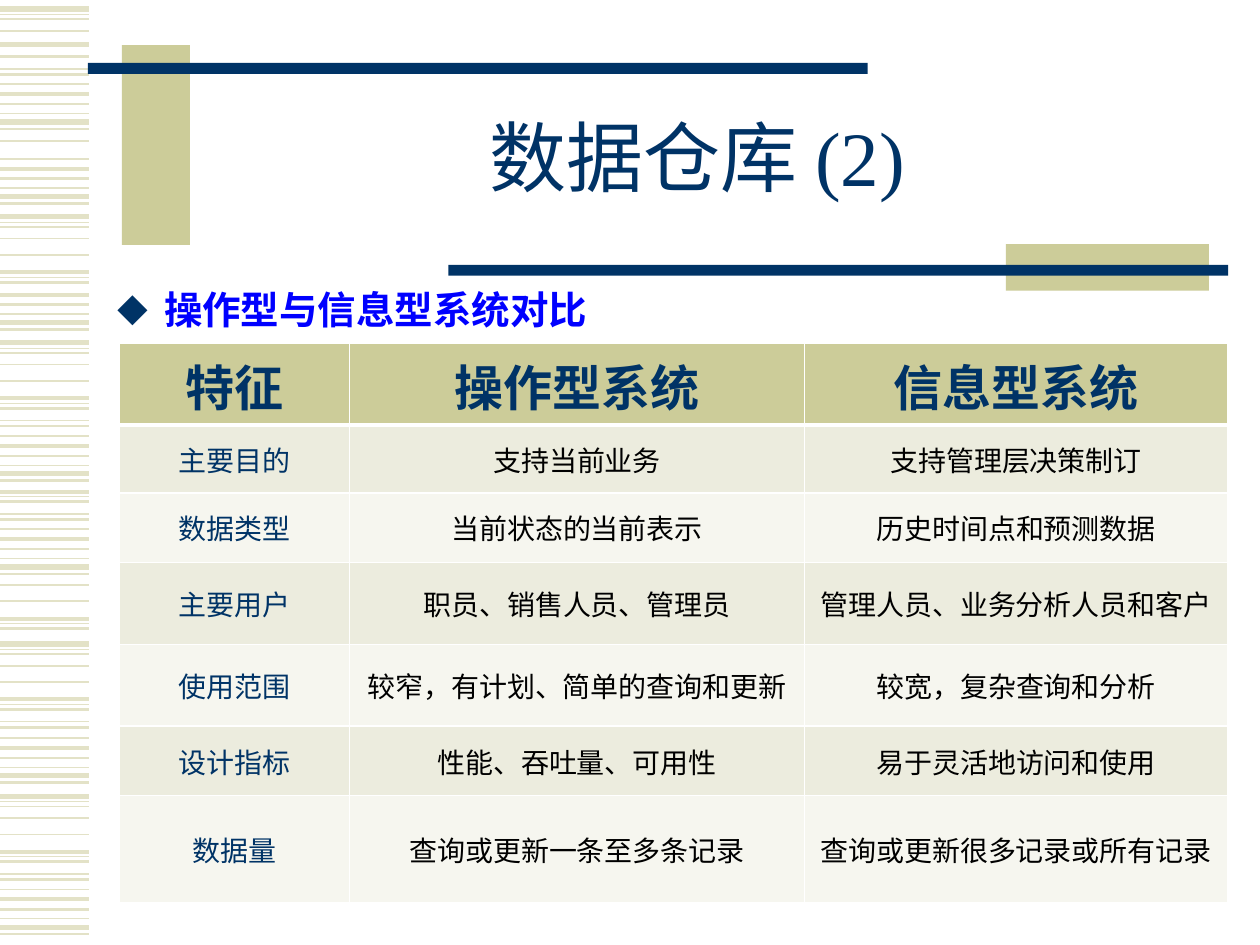
import lxml.etree
import pptx
import pptx.dml.color
import pptx.enum.shapes
import pptx.enum.text
import pptx.oxml.ns
import pptx.util

Cm, Pt = pptx.util.Cm, pptx.util.Pt
RGB = pptx.dml.color.RGBColor.from_string
ALIGN, ANCHOR = pptx.enum.text.PP_ALIGN, pptx.enum.text.MSO_ANCHOR
qn = pptx.oxml.ns.qn

# Content
TITLE = "数据仓库 (2)"
HEADING = "操作型与信息型系统对比"
BULLET = "◆"
ROWS = [
    ("特征", "操作型系统", "信息型系统"),
    ("主要目的", "支持当前业务", "支持管理层决策制订"),
    ("数据类型", "当前状态的当前表示", "历史时间点和预测数据"),
    ("主要用户", "职员、销售人员、管理员", "管理人员、业务分析人员和客户"),
    ("使用范围", "较窄，有计划、简单的查询和更新", "较宽，复杂查询和分析"),
    ("设计指标", "性能、吞吐量、可用性", "易于灵活地访问和使用"),
    ("数据量", "查询或更新一条至多条记录", "查询或更新很多记录或所有记录"),
]

THEME = {
    "navy": "003366", "khaki": "CCCC99", "stripe": "E3E2C7", "blue": "0000FF",
    "black": "000000", "white": "FFFFFF", "bands": ("ECECDE", "F6F6EF"),
    "latin": "Times New Roman", "cjk": "Noto Sans CJK SC",
    "title": 44, "heading": 22, "header": 28, "body": 16, "bullet": "80000",
}

# Geometry in cm
COL_WIDTHS = (4.65, 9.17, 8.53)
ROW_HEIGHTS = (1.65, 1.37, 1.4, 1.65, 1.65, 1.4, 2.16)
STRIPE_WIDTH = 1.8
BARS = [
    ("khaki", 2.46, 0.91, 1.37, 4.03),
    ("navy", 1.77, 1.27, 15.72, 0.22),
    ("khaki", 20.28, 4.92, 4.09, 0.94),
    ("navy", 9.04, 5.34, 15.72, 0.22),
]
# Stripe motifs: (offset in cm, weight in points)
RISING = [(-0.76, 1), (-0.56, 2.25), (-0.36, 1.5), (-0.17, 0.75), (0, 3), (0.14, 1.5)]
FALLING = [(0, 3), (0.11, 0.75), (0.21, 1), (0.44, 1), (0.77, 1), (1.12, 2.25),
           (1.22, 0.75), (1.32, 1.5), (1.57, 0.75), (1.68, 1.5)]
SINGLE = [(0, 3), (0, 1)]
# Motif, base position, first and last stripe used
STRIPES = [(RISING, y, 0, 6) for y in (2.46, 3.96, 9.55, 11.43, 15.64, 18.69)]
STRIPES += [(FALLING, y, 0, 10) for y in (6.91, 12.98, 16.05)]
STRIPES += [
    (RISING, 6.5, 1, 6), (FALLING, 4.37, 0, 8), (FALLING, 11.35, 3, 8),
    (FALLING, 8.79, 5, 10), (FALLING, 0.18, 0, 4), (FALLING, -0.18, 7, 10),
    (SINGLE, 0.89, 0, 1), (SINGLE, 2.84, 1, 2),
]


def apply(obj, fmt):
    for name, value in fmt.items():
        setattr(obj, name, value)


def write(tf, text, size, color, latin, bold=False, **para):
    p = tf.paragraphs[0]
    apply(p, para)
    r = p.add_run()
    r.text = text
    apply(r.font, {"size": Pt(size), "bold": bold, "name": latin})
    r.font.color.rgb = RGB(color)
    lxml.etree.SubElement(r.font._element, qn("a:ea"), typeface=THEME["cjk"])
    return p


def add_bullet(p, indent):
    pPr = p._p.get_or_add_pPr()
    pPr.set("marL", str(Cm(indent)))
    pPr.set("indent", str(-Cm(indent)))
    clr = lxml.etree.SubElement(pPr, qn("a:buClr"))
    lxml.etree.SubElement(clr, qn("a:srgbClr"), val=THEME["navy"])
    lxml.etree.SubElement(pPr, qn("a:buSzPct"), val=THEME["bullet"])
    lxml.etree.SubElement(pPr, qn("a:buFont"), typeface=THEME["cjk"])
    lxml.etree.SubElement(pPr, qn("a:buChar"), char=BULLET)


def add_text(slide, box, anchor):
    tf = slide.shapes.add_textbox(*map(Cm, box)).text_frame
    apply(tf, {"word_wrap": True, "vertical_anchor": anchor})
    return tf


def add_stripe(slide, y, weight):
    sp = slide.shapes.add_connector(
        pptx.enum.shapes.MSO_CONNECTOR.STRAIGHT, 0, Cm(y), Cm(STRIPE_WIDTH), Cm(y))
    sp.line.color.rgb = RGB(THEME["stripe"])
    sp.line.width = Pt(weight)
    lxml.etree.SubElement(sp._element.spPr, qn("a:effectLst"))


def add_bar(slide, color, *box):
    sp = slide.shapes.add_shape(pptx.enum.shapes.MSO_SHAPE.RECTANGLE, *map(Cm, box))
    sp.shadow.inherit = False
    sp.fill.solid()
    sp.fill.fore_color.rgb = RGB(THEME[color])
    sp.line.fill.background()


def set_borders(cell, top, bottom):
    tcPr = cell._tc.get_or_add_tcPr()
    for side, weight in (("L", 1), ("R", 1), ("T", top), ("B", bottom)):
        ln = lxml.etree.SubElement(tcPr, qn("a:ln" + side), w=str(Pt(weight)))
        fill = lxml.etree.SubElement(ln, qn("a:solidFill"))
        lxml.etree.SubElement(fill, qn("a:srgbClr"), val=THEME["white"])


def add_comparison(slide):
    tbl = slide.shapes.add_table(
        len(ROWS), len(COL_WIDTHS), Cm(2.4), Cm(6.92),
        Cm(sum(COL_WIDTHS)), Cm(sum(ROW_HEIGHTS))).table
    for col, width in zip(tbl.columns, COL_WIDTHS):
        col.width = Cm(width)
    for i, (row, height, texts) in enumerate(zip(tbl.rows, ROW_HEIGHTS, ROWS)):
        row.height = Cm(height)
        header = i == 0
        for j, text in enumerate(texts):
            cell = tbl.cell(i, j)
            cell.vertical_anchor = ANCHOR.MIDDLE
            set_borders(cell, 3 if i == 1 else 1, 3 if header else 1)
            cell.fill.solid()
            cell.fill.fore_color.rgb = RGB(
                THEME["khaki"] if header else THEME["bands"][(i - 1) % 2])
            write(cell.text_frame, text, THEME["header" if header else "body"],
                  THEME["navy" if header or j == 0 else "black"], THEME["cjk"],
                  bold=header, alignment=ALIGN.CENTER)


def main():
    prs = pptx.Presentation()
    apply(prs, {"slide_width": Cm(25.4), "slide_height": Cm(19.05)})
    slide = prs.slides.add_slide(prs.slide_layouts[6])

    # Striped margin and title bars
    for motif, base, first, last in STRIPES:
        for offset, weight in motif[first:last]:
            add_stripe(slide, base + offset, weight)
    for bar in BARS:
        add_bar(slide, *bar)

    # Bulleted heading
    tf = add_text(slide, (2.11, 5.72, 11.99, 1.19), ANCHOR.TOP)
    p = write(tf, HEADING, THEME["heading"], THEME["blue"], THEME["latin"], bold=True,
              line_spacing=Pt(24), space_before=Pt(6), space_after=Pt(6))
    add_bullet(p, 0.95)

    # Title
    tf = add_text(slide, (3.81, 1.7, 20.5, 3.18), ANCHOR.MIDDLE)
    write(tf, TITLE, THEME["title"], THEME["navy"], THEME["latin"],
          alignment=ALIGN.CENTER, line_spacing=0.85)

    # Comparison table
    add_comparison(slide)
    prs.save("out.pptx")


if __name__ == "__main__":
    main()
